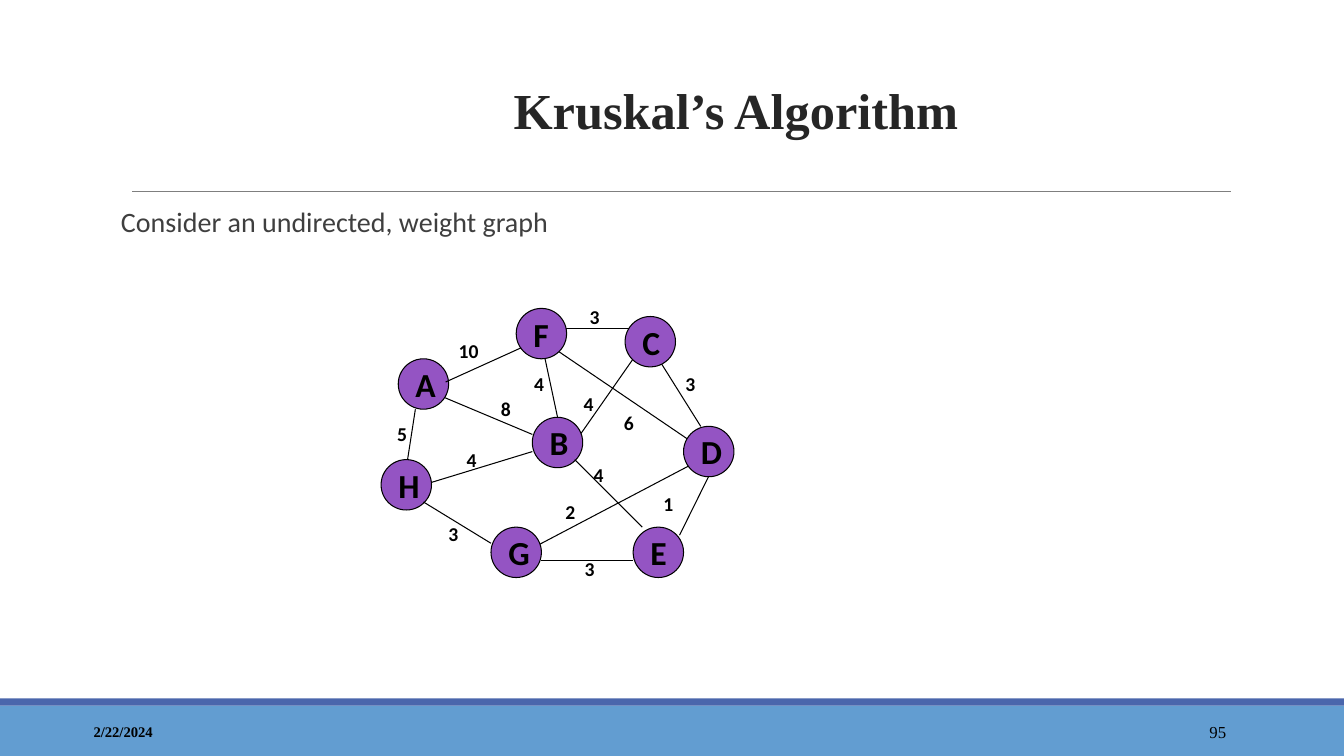
from dataclasses import dataclass

from lxml import etree
from pptx import Presentation
from pptx import util as u
from pptx.dml.color import RGBColor
from pptx.enum import shapes, text
from pptx.oxml.ns import qn

PX = 9144  # EMU per px, 100 px to the inch
NODE_SIZE = 50
LABEL_HEIGHT = 33
BLACK = "000000"
PURPLE = "9454C3"


@dataclass
class Node:
    name: str
    x: int
    y: int


@dataclass
class Edge:
    x1: int
    y1: int
    x2: int
    y2: int
    weight: int
    label_x: int
    label_y: int
    label_w: int = 33
    in_front: bool = False


NODES = [
    Node("A", 395, 356), Node("H", 378, 456), Node("B", 528, 414),
    Node("F", 512, 306), Node("E", 628, 523), Node("D", 678, 423),
    Node("C", 620, 314), Node("G", 487, 523),
]

EDGES = [
    Edge(715, 448, 674, 531, 1, 648, 483, 52),  # D-E
    Edge(537, 339, 553, 414, 4, 520, 364),  # F-B
    Edge(570, 439, 628, 356, 4, 569, 384),  # B-C
    Edge(687, 439, 553, 348, 6, 609, 403, 51),  # D-F
    Edge(420, 481, 528, 448, 4, 453, 439),  # H-B
    Edge(520, 548, 695, 456, 2, 551, 491),  # G-D
    Edge(403, 464, 412, 406, 5, 384, 414),  # H-A
    Edge(428, 389, 528, 431, 8, 487, 389),  # A-B
    Edge(558, 326, 625, 326, 3, 575, 298),  # F-C
    Edge(653, 356, 695, 423, 3, 670, 364),  # C-D
    Edge(570, 456, 637, 523, 4, 579, 454, 52, True),  # B-E
    Edge(628, 556, 537, 556, 3, 570, 548, in_front=True),  # E-G
    Edge(487, 539, 420, 498, 3, 435, 513, in_front=True),  # G-H
    Edge(442, 379, 517, 345, 10, 445, 331, 52, True),  # A-F
]

prs = Presentation()
prs.slide_width, prs.slide_height = 1333 * PX, 750 * PX
s = prs.slides.add_slide(prs.slide_layouts[6])


def rgb(color: str) -> RGBColor:
    return RGBColor.from_string(color)


def write(sp, words: str, *, size: float, font: str = "Calibri", color: str = BLACK,
          bold: bool = False, align=text.PP_ALIGN.LEFT, anchor=text.MSO_ANCHOR.TOP,
          inset: int = 10, spacing: float = 1.0) -> None:
    tf = sp.text_frame
    tf.word_wrap = True
    tf.vertical_anchor = anchor
    tf.margin_left = tf.margin_right = inset * PX
    tf.margin_top = tf.margin_bottom = 5 * PX
    p = tf.paragraphs[0]
    p.alignment, p.line_spacing = align, spacing
    r = p.add_run()
    r.text = words
    r.font.name, r.font.size, r.font.bold = font, u.Pt(size), bold
    r.font.color.rgb = rgb(color)


def add_text(x: int, y: int, w: int, h: int, words: str, **style) -> None:
    write(s.shapes.add_textbox(x * PX, y * PX, w * PX, h * PX), words, **style)


def add_filled(kind, x: int, y: int, w: int, h: int, fill: str, line: str = ""):
    sp = s.shapes.add_shape(kind, x * PX, y * PX, w * PX, h * PX)
    sp.shadow.inherit = False
    sp.fill.solid()
    sp.fill.fore_color.rgb = rgb(fill)
    if line:
        sp.line.color.rgb = rgb(line)
        sp.line.width = u.Pt(0.75)
    else:
        sp.line.fill.background()
    return sp


def add_line(x1: int, y1: int, x2: int, y2: int, color: str = BLACK) -> None:
    cx = s.shapes.add_connector(shapes.MSO_CONNECTOR.STRAIGHT,
                                x1 * PX, y1 * PX, x2 * PX, y2 * PX)
    cx.line.color.rgb = rgb(color)
    cx.line.width = u.Pt(0.75)
    etree.SubElement(cx._element.spPr, qn("a:effectLst"))


def add_edges(in_front: bool) -> None:
    for e in EDGES:
        if e.in_front == in_front:
            add_line(e.x1, e.y1, e.x2, e.y2)


# Footer bands and title rule
add_filled(shapes.MSO_SHAPE.RECTANGLE, 0, 700, 1333, 50, "629DD1")
add_filled(shapes.MSO_SHAPE.RECTANGLE, 0, 693, 1333, 7, "4A66AC")
add_line(131, 190, 1221, 190, "7F7F7F")

# Date and slide number
add_text(83, 706, 300, 40, "2/22/2024", size=10.5, font="Times New Roman",
         bold=True, anchor=text.MSO_ANCHOR.MIDDLE)
add_text(1083, 706, 143, 40, "95", size=12, font="Times New Roman",
         align=text.PP_ALIGN.RIGHT, anchor=text.MSO_ANCHOR.MIDDLE)

# Title and lead sentence
add_text(180, 37, 1100, 106, "Kruskal’s Algorithm", size=36, font="Times New Roman",
         color="262626", bold=True, align=text.PP_ALIGN.CENTER,
         anchor=text.MSO_ANCHOR.BOTTOM, spacing=1.1)
add_text(120, 202, 1100, 40, "Consider an undirected, weight graph", size=20,
         color="3F3F3F", inset=0, spacing=0.9)

# Weighted graph
add_edges(in_front=False)
for node in NODES:
    sp = add_filled(shapes.MSO_SHAPE.OVAL, node.x, node.y, NODE_SIZE, NODE_SIZE,
                    PURPLE, BLACK)
    write(sp, node.name, size=24, bold=True, anchor=text.MSO_ANCHOR.MIDDLE)
add_edges(in_front=True)
for e in EDGES:
    add_text(e.label_x, e.label_y, e.label_w, LABEL_HEIGHT, str(e.weight),
             size=14, bold=True)

prs.save("out.pptx")
